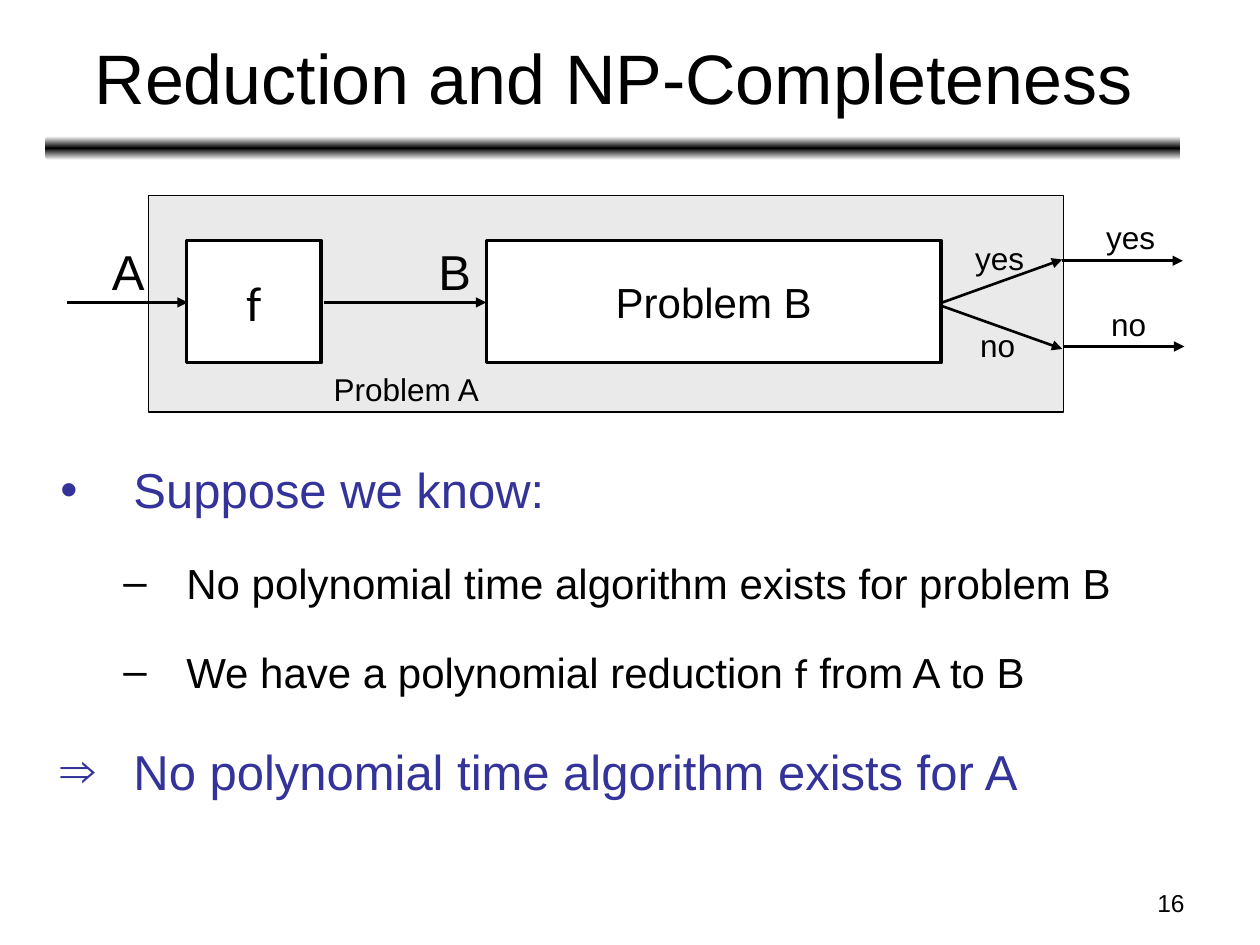
"""Build the slide on reduction and NP-completeness."""
import copy
from dataclasses import dataclass

import lxml.etree
import pptx
import pptx.dml.color
import pptx.enum.shapes
import pptx.enum.text
import pptx.oxml.ns
import pptx.util

Pt = pptx.util.Pt
ALIGN = pptx.enum.text.PP_ALIGN
ANCHOR = pptx.enum.text.MSO_ANCHOR
SHAPE = pptx.enum.shapes.MSO_SHAPE
qn = pptx.oxml.ns.qn

COLORS = {"ink": "000000", "accent": "333399", "panel": "EAEAEA", "paper": "FFFFFF"}


@dataclass
class Box:
    left: float
    top: float
    width: float
    height: float
    fill: str = "paper"
    line: float = 2
    text: str = ""
    size: float = 24
    font: str = "Arial"


@dataclass
class Label:
    text: str
    left: float
    top: float
    width: float
    height: float = 28.8
    size: float = 18
    align: ALIGN = ALIGN.LEFT


@dataclass
class Arrow:
    x1: float
    y1: float
    x2: float
    y2: float


@dataclass
class Point:
    bullet: str
    runs: list[tuple[str, str]]
    level: int = 0


@dataclass
class Level:
    size: float
    color: str
    margin: float
    indent: float
    before: float


MID = 172.8
BOXES = [
    Box(85, 111.6, 522.7, 123.8, "panel", 0.75),
    Box(106.6, 137.5, 77, 69.8, text="f", size=28, font="Calibri"),
    Box(277.9, 137.5, 259.9, 69.8, text="Problem B"),
]
ARROWS = [
    Arrow(38.2, MID, 107.3, MID),
    Arrow(185, MID, 277.9, MID),
    Arrow(538.6, MID, 607, 148.3),
    Arrow(538.6, 175, 607, 199.4),
    Arrow(607, 149, 676, 149),
    Arrow(607.7, 198, 676.8, 198),
]
LABELS = [
    Label("A", 56.9, 134.6, 33.1, 41, 28),
    Label("B", 243.4, 134.6, 33.1, 41, 28),
    Label("yes", 550.1, 133.2, 42.5),
    Label("no", 553, 182.9, 34.6),
    Label("yes", 625, 121, 42.5),
    Label("no", 627.8, 170.6, 34.6),
    Label("Problem A", 183.6, 208.1, 98.6),
    Label("16", 516.2, 504, 167.8, 25.2, 14, ALIGN.RIGHT),
]
LEVELS = [Level(28, "accent", 41.8, -41.8, 5.6), Level(24, "ink", 72, -36, 4.8)]
POINTS = [
    Point("•", [("Suppose we know:", "Arial")]),
    Point("–", [("No polynomial time algorithm exists for problem B", "Arial")], 1),
    Point("–", [("We have a polynomial reduction ", "Arial"), ("f", "Calibri"),
                (" from A to B", "Arial")], 1),
    Point("⇒", [("No polynomial time algorithm exists for A", "Arial")]),
]


def rgb(name: str) -> pptx.dml.color.RGBColor:
    """Return the named colour."""
    return pptx.dml.color.RGBColor.from_string(COLORS[name])


def add_run(p, text: str, size: float, font: str = "Arial", color: str = "ink") -> None:
    """Append one formatted run to a paragraph."""
    r = p.add_run()
    r.text = text
    r.font.size, r.font.name = Pt(size), font
    r.font.color.rgb = rgb(color)


def add_bar(s) -> None:
    """Draw the shaded bar below the title."""
    sp = s.shapes.add_shape(SHAPE.ROUNDED_RECTANGLE, Pt(26), Pt(77.8), Pt(648.7), Pt(13.7))
    sp.shadow.inherit = False
    sp.line.fill.background()
    sp.fill.gradient()
    sp.fill.gradient_angle = 90
    stops = sp._element.spPr.find(".//" + qn("a:gsLst"))
    stops.insert(1, copy.deepcopy(stops[0]))
    for stop, (position, color) in zip(
            sp.fill.gradient_stops, [(0, "paper"), (0.5, "ink"), (1, "paper")]):
        stop.position = position
        stop.color.rgb = rgb(color)


def add_box(s, box: Box) -> None:
    """Draw an outlined rectangle with optional centred text."""
    sp = s.shapes.add_shape(SHAPE.RECTANGLE, Pt(box.left), Pt(box.top),
                            Pt(box.width), Pt(box.height))
    sp.shadow.inherit = False
    sp.fill.solid()
    sp.fill.fore_color.rgb = rgb(box.fill)
    sp.line.color.rgb = rgb("ink")
    sp.line.width = Pt(box.line)
    if box.text:
        tf = sp.text_frame
        tf.vertical_anchor = ANCHOR.MIDDLE
        p = tf.paragraphs[0]
        p.alignment = ALIGN.CENTER
        add_run(p, box.text, box.size, box.font)


def add_arrow(s, arrow: Arrow) -> None:
    """Draw a straight line with a triangular head at its end."""
    sp = s.shapes.add_connector(pptx.enum.shapes.MSO_CONNECTOR.STRAIGHT, Pt(arrow.x1),
                                Pt(arrow.y1), Pt(arrow.x2), Pt(arrow.y2))
    sp.line.color.rgb = rgb("ink")
    sp.line.width = Pt(1.5)
    lxml.etree.SubElement(sp.line._get_or_add_ln(), qn("a:tailEnd"), type="triangle")
    lxml.etree.SubElement(sp._element.spPr, qn("a:effectLst"))


def add_label(s, label: Label) -> None:
    """Place a single line of text."""
    sp = s.shapes.add_textbox(Pt(label.left), Pt(label.top), Pt(label.width), Pt(label.height))
    sp.text_frame.word_wrap = label.align == ALIGN.RIGHT
    p = sp.text_frame.paragraphs[0]
    p.alignment = label.align
    add_run(p, label.text, label.size)


def add_points(s, points: list[Point]) -> None:
    """Write the bulleted argument."""
    tf = s.shapes.add_textbox(Pt(27.4), Pt(239), Pt(648), Pt(281.5)).text_frame
    tf.word_wrap = True
    for i, point in enumerate(points):
        level = LEVELS[point.level]
        p = tf.add_paragraph() if i else tf.paragraphs[0]
        p.level = point.level
        pPr = p._p.get_or_add_pPr()
        pPr.set("marL", str(Pt(level.margin)))
        pPr.set("indent", str(Pt(level.indent)))
        color = lxml.etree.SubElement(pPr, qn("a:buClr"))
        lxml.etree.SubElement(color, qn("a:srgbClr"), val=COLORS[level.color])
        lxml.etree.SubElement(pPr, qn("a:buFont"), typeface="Arial")
        lxml.etree.SubElement(pPr, qn("a:buChar"), char=point.bullet)
        p.line_spacing = 1.6
        p.space_before = Pt(level.before if i else 0)
        for text, font in point.runs:
            add_run(p, text, level.size, font, level.color)


def add_title(s, text: str) -> None:
    """Move and fill the title placeholder."""
    sp = s.shapes.title
    sp.left, sp.top, sp.width, sp.height = Pt(26.6), Pt(7.9), Pt(648), Pt(71.3)
    tf = sp.text_frame
    tf.auto_size = pptx.enum.text.MSO_AUTO_SIZE.NONE
    tf.vertical_anchor = ANCHOR.MIDDLE
    p = tf.paragraphs[0]
    p.alignment = ALIGN.CENTER
    add_run(p, text, 40)


def main() -> None:
    """Assemble and save the slide."""
    prs = pptx.Presentation()
    prs.slide_width, prs.slide_height = Pt(720), Pt(540)
    s = prs.slides.add_slide(prs.slide_layouts[5])
    add_bar(s)
    add_title(s, "Reduction and NP-Completeness")
    for box in BOXES:
        add_box(s, box)
    add_points(s, POINTS)
    for arrow in ARROWS:
        add_arrow(s, arrow)
    for label in LABELS:
        add_label(s, label)
    prs.save("out.pptx")


if __name__ == "__main__":
    main()
